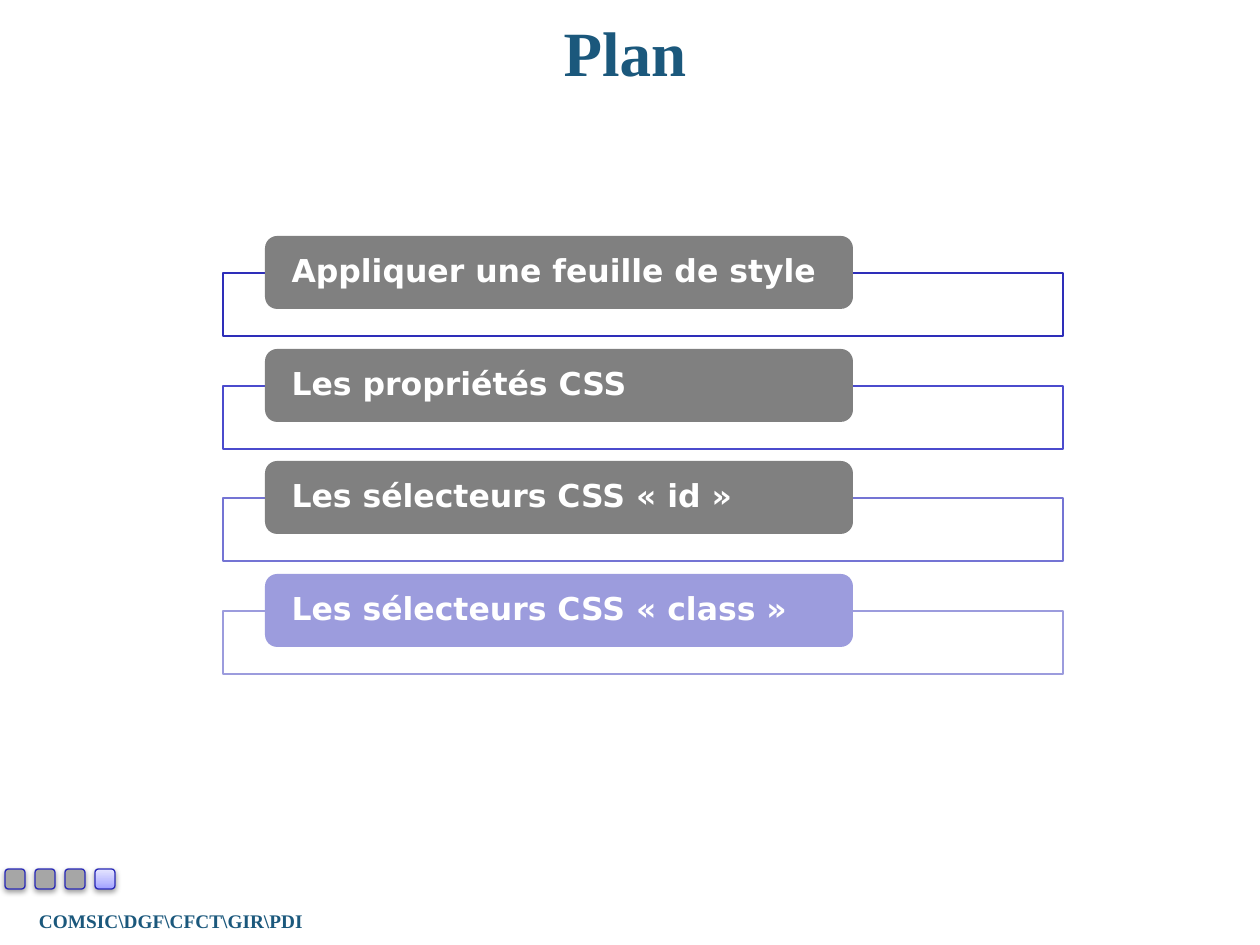
import copy
from dataclasses import dataclass

import lxml.etree
import pptx
import pptx.dml.color
import pptx.enum.shapes
import pptx.enum.text
import pptx.oxml
import pptx.oxml.ns
import pptx.util

SHAPE = pptx.enum.shapes.MSO_SHAPE
ALIGN = pptx.enum.text.PP_ALIGN
ANCHOR = pptx.enum.text.MSO_ANCHOR
qn = pptx.oxml.ns.qn


@dataclass(frozen=True)
class Theme:
    heading_font: str = "Times New Roman"
    body_font: str = "DejaVu Sans"
    heading: str = "1B587C"
    white: str = "FFFFFF"
    past: str = "808080"
    current: str = "9C9CDD"
    frames: tuple = ("2E2EB9", "4B4BCD", "7474D4", "9C9CDD")
    dot: str = "A6A6A6"
    dot_line: str = "2929B8"
    dot_stops: tuple = ((0, "9F9FFF"), (0.35, "BBBBFF"), (1, "E5E5FF"))
    title_size: int = 36
    item_size: int = 18
    footer_size: int = 11
    line_width: float = 0.75


THEME = Theme()
ITEMS = (
    "Appliquer une feuille de style",
    "Les propriétés CSS",
    "Les sélecteurs CSS « id »",
    "Les sélecteurs CSS « class »",
)


def px(n):
    return pptx.util.Emu(round(n * 914400 / 126))


def rgb(value):
    return pptx.dml.color.RGBColor.from_string(value)


def write(s, text, font, size, color, align):
    """Put one bold, vertically centred paragraph into a shape."""
    tf = s.text_frame
    tf.word_wrap = True
    tf.vertical_anchor = ANCHOR.MIDDLE
    p = tf.paragraphs[0]
    p.text = text
    p.alignment = align
    p.font.name = font
    p.font.size = pptx.util.Pt(size)
    p.font.bold = True
    p.font.color.rgb = rgb(color)
    return p


def add_box(slide, kind, box, fill, line=None):
    s = slide.shapes.add_shape(kind, *map(px, box))
    s.shadow.inherit = False
    s.fill.solid()
    s.fill.fore_color.rgb = rgb(fill)
    if line:
        s.line.color.rgb = rgb(line)
        s.line.width = pptx.util.Pt(THEME.line_width)
    else:
        s.line.fill.background()
    return s


def add_title(slide, text):
    s = slide.shapes.title
    s.left, s.top, s.width, s.height = map(px, (54, 6, 1142, 90))
    write(s, text, THEME.heading_font, THEME.title_size, THEME.heading, ALIGN.CENTER)


def add_footer(slide, text):
    s = slide.shapes.add_textbox(*map(px, (-25, 902, 392, 37)))
    write(s, text, THEME.heading_font, THEME.footer_size, THEME.heading, ALIGN.CENTER)


def add_item(slide, text, top, frame_color, fill):
    """An outlined frame with a rounded label over its upper edge."""
    frame = add_box(slide, SHAPE.RECTANGLE, (223, top, 840, 63), THEME.white, frame_color)
    color = frame.fill._xPr.find(qn("a:solidFill"))[0]
    lxml.etree.SubElement(color, qn("a:alpha"), val="90000")

    label = add_box(slide, SHAPE.ROUNDED_RECTANGLE, (265, top - 37, 588, 73), fill)
    p = write(label, text, THEME.body_font, THEME.item_size, THEME.white, ALIGN.LEFT)
    p.line_spacing = 0.9
    tf = label.text_frame
    tf.margin_left = tf.margin_right = px(23)
    tf.margin_top = tf.margin_bottom = 0


def add_shadow(s):
    effects = s._element.spPr.find(qn("a:effectLst"))
    shadow = lxml.etree.SubElement(
        effects, qn("a:outerShdw"), blurRad="40000", dist="20000",
        dir="5400000", rotWithShape="0")
    color = lxml.etree.SubElement(shadow, qn("a:srgbClr"), val="000000")
    lxml.etree.SubElement(color, qn("a:alpha"), val="38000")


def set_gradient(s, stops):
    s.fill.gradient()
    s.fill.gradient_angle = 90
    stop_list = s._element.spPr.find(qn("a:gradFill")).find(qn("a:gsLst"))
    stop_list.append(copy.deepcopy(stop_list[-1]))
    for stop, (position, color) in zip(s.fill.gradient_stops, stops):
        stop.position = position
        stop.color.rgb = rgb(color)


def add_progress(slide, count):
    """A row of dots, the last one marking the current section."""
    for i in range(count):
        s = add_box(slide, SHAPE.ROUNDED_RECTANGLE, (5 + 30 * i, 869, 20, 20),
                    THEME.dot, THEME.dot_line)
        add_shadow(s)
        if i == count - 1:
            set_gradient(s, THEME.dot_stops)


def main():
    prs = pptx.Presentation()
    prs.slide_width, prs.slide_height = px(1260), px(945)
    slide = prs.slides.add_slide(prs.slide_layouts[5])

    # Heading and footer
    add_footer(slide, "COMSIC\\DGF\\CFCT\\GIR\\PDI")
    add_title(slide, "Plan")

    # Outline, with the last item current
    for i, (text, color) in enumerate(zip(ITEMS, THEME.frames)):
        fill = THEME.current if i == len(ITEMS) - 1 else THEME.past
        add_item(slide, text, round(273 + 112.6 * i), color, fill)

    # Progress dots
    add_progress(slide, len(ITEMS))
    prs.save("out.pptx")


if __name__ == "__main__":
    main()
